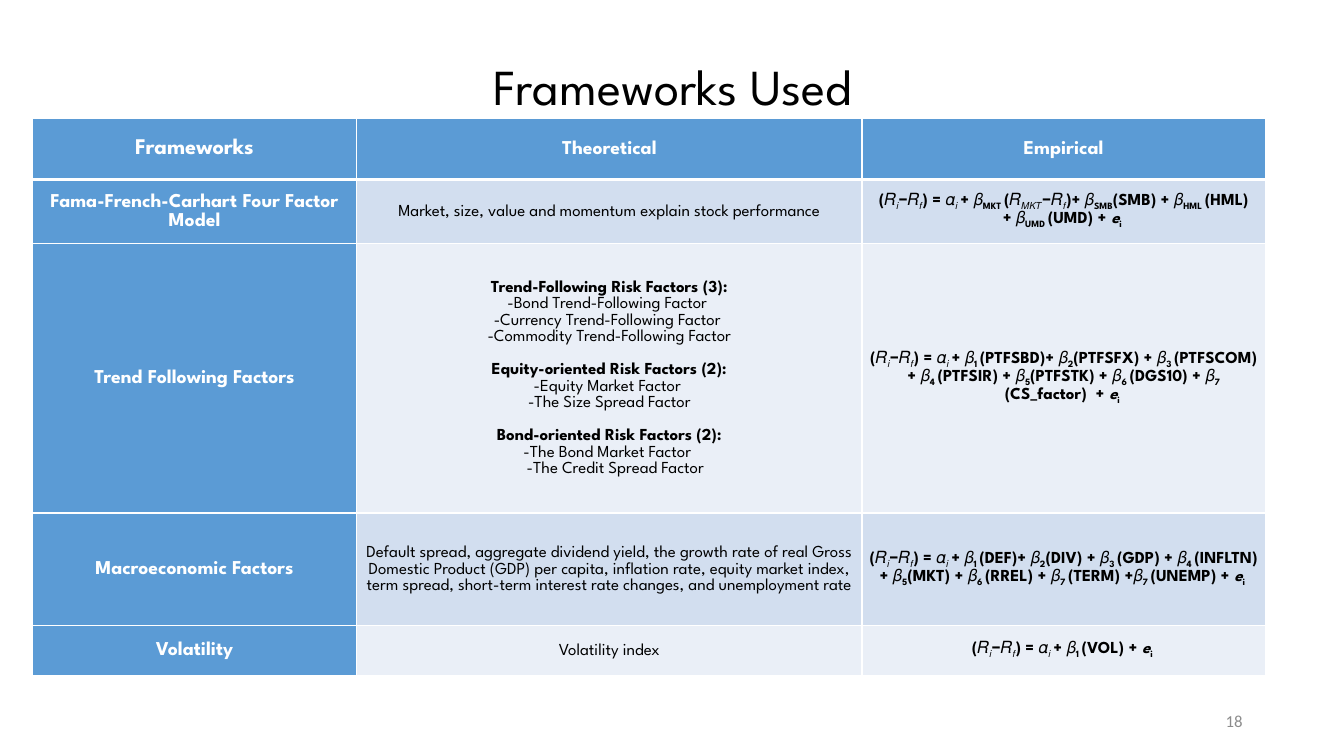
from lxml import etree
from pptx import Presentation
from pptx import util as u
from pptx.dml.color import RGBColor
from pptx.enum import text
from pptx.oxml.ns import qn

W, H = 13.33, 7.5
COLORS = {"white": "FFFFFF", "black": "000000", "blue": "5B9BD5",
          "band_dark": "D2DEEF", "band_light": "EAEFF7", "grey": "8C8C8C"}
FONT = "League Spartan"
COLS = [3.22, 5.01, 4]
ROWS = [0.61, 0.64, 2.67, 1.12, 0.49]
PAD = 0.07

HEADERS = ["Frameworks", "Theoretical", "Empirical"]
MODELS = ["Fama-French-Carhart Four Factor Model", "Trend Following Factors",
          "Macroeconomic Factors", "Volatility"]
THEORIES = [
    ["Market, size, value and momentum explain stock performance"],
    ["Trend-Following Risk Factors (3):", "-Bond Trend-Following Factor ",
     "-Currency Trend-Following Factor ", "-Commodity Trend-Following Factor",
     "Equity-oriented Risk Factors (2):", "-Equity Market Factor ",
     "-The Size Spread Factor",
     "Bond-oriented Risk Factors (2):", "-The Bond Market Factor ",
     "-The Credit Spread Factor "],
    ["Default spread, aggregate dividend yield, the growth rate of real Gross "
     "Domestic Product (GDP) per capita, inflation rate, equity market index, "
     "term spread, short-term interest rate changes, and unemployment rate"],
    ["Volatility index"],
]
# Bars switch between baseline and subscript
EXCESS_RETURN = "(𝑅|𝑖|−𝑅|𝑓|) = 𝛼|𝑖 |+ 𝛽|"
FACTORS = [
    "MKT |(𝑅|𝑀𝐾𝑇|−𝑅|𝑓|)+ 𝛽|SMB|(SMB) + 𝛽|HML |(HML) + 𝛽|UMD |(UMD) + ",
    "1 |(PTFSBD)+ 𝛽|2|(PTFSFX) + 𝛽|3 |(PTFSCOM) + 𝛽|4 |(PTFSIR) + 𝛽|5|"
    "(PTFSTK) + 𝛽|6 |(DGS10) + 𝛽|7 |(CS_factor)  + ",
    "1 |(DEF)+ 𝛽|2|(DIV) + 𝛽|3 |(GDP) + 𝛽|4 |(INFLTN) + 𝛽|5|(MKT) + 𝛽|6 |"
    "(RREL) + 𝛽|7 |(TERM) +𝛽|7 |(UNEMP) + ",
    "1 |(VOL) + ",
]


def rgb(name):
    return RGBColor.from_string(COLORS[name])


def add_run(p, words, size=12, color="black", bold=False, italic=False, sub=False, font=FONT):
    r = p.add_run()
    r.text = words
    r.font.name, r.font.size = font, u.Pt(size)
    r.font.bold, r.font.italic = bold, italic
    r.font.color.rgb = rgb(color)
    if sub:
        r.font._element.set("baseline", "-25000")


def add_paragraph(tf, spacing=1.07, align=text.PP_ALIGN.CENTER):
    first = tf.paragraphs[0]
    p = tf.add_paragraph() if first.runs else first
    p.alignment, p.line_spacing = align, spacing
    return p


def add_label(slide, words, box, align, spacing=1.0, **fmt):
    x, y, w, h = box
    sp = slide.shapes.add_textbox(u.Inches(x * W), u.Inches(y * H),
                                  u.Inches(w * W), u.Inches(h * H))
    tf = sp.text_frame
    tf.word_wrap = True
    tf.vertical_anchor = text.MSO_ANCHOR.MIDDLE
    add_run(add_paragraph(tf, spacing, align), words, **fmt)


def style_cell(cell, fill, bottom=1):
    cell.margin_left = cell.margin_right = u.Inches(PAD)
    cell.margin_top = cell.margin_bottom = 0
    cell.vertical_anchor = text.MSO_ANCHOR.MIDDLE
    cell.fill.solid()
    cell.fill.fore_color.rgb = rgb(fill)
    # Cell borders come before the fill
    tc_pr = cell._tc.get_or_add_tcPr()
    for i, side in enumerate(["lnL", "lnR", "lnT", "lnB"]):
        ln = etree.Element(qn("a:" + side), w=str(u.Pt(bottom if side == "lnB" else 1)))
        solid = etree.SubElement(ln, qn("a:solidFill"))
        etree.SubElement(solid, qn("a:srgbClr"), val=COLORS["white"])
        tc_pr.insert(i, ln)


def write_heading(cell, words, size=14):
    add_run(add_paragraph(cell.text_frame), words, size=size, color="white", bold=True)


def write_theory(cell, lines):
    for i, line in enumerate(lines):
        p = add_paragraph(cell.text_frame)
        is_group = line.endswith(":")
        if is_group and i:
            p.space_before = u.Pt(11.8)
        if line.startswith("-The Credit"):
            p._p.get_or_add_pPr().set("marL", str(u.Inches(0.16)))
        add_run(p, line, bold=is_group)


def write_formula(cell, factors):
    p = add_paragraph(cell.text_frame, 1.0)
    for i, part in enumerate((EXCESS_RETURN + factors).split("|")):
        add_run(p, part, bold=True, sub=i % 2 == 1)
    add_run(p, "e", bold=True, italic=True)
    add_run(p, "i ", bold=True, sub=True)


def add_frameworks_table(slide):
    table = slide.shapes.add_table(len(ROWS), len(COLS), u.Inches(0.32), u.Inches(1.17),
                                   u.Inches(sum(COLS)), u.Inches(sum(ROWS))).table
    for col, width in zip(table.columns, COLS):
        col.width = u.Inches(width)
    for row, height in zip(table.rows, ROWS):
        row.height = u.Inches(height)

    # Header row
    for c, words in enumerate(HEADERS):
        style_cell(table.cell(0, c), "blue", bottom=3)
        write_heading(table.cell(0, c), words, size=14 if c else 16)

    # One row per framework
    for r, (model, theory, factors) in enumerate(zip(MODELS, THEORIES, FACTORS), 1):
        band = "band_dark" if r % 2 else "band_light"
        cells = [table.cell(r, c) for c in range(len(COLS))]
        for cell, fill in zip(cells, ["blue", band, band]):
            style_cell(cell, fill)
        write_heading(cells[0], model)
        write_theory(cells[1], theory)
        write_formula(cells[2], factors)


def main():
    prs = Presentation()
    prs.slide_width, prs.slide_height = u.Inches(W), u.Inches(H)
    slide = prs.slides.add_slide(prs.slide_layouts[6])
    # Title, table and page number
    add_label(slide, "Frameworks Used", (0.069, 0.021, 0.863, 0.193),
              text.PP_ALIGN.CENTER, spacing=0.9, size=36)
    add_frameworks_table(slide)
    add_label(slide, "18", (0.707, 0.927, 0.225, 0.053), text.PP_ALIGN.RIGHT,
              color="grey", font="Calibri")
    prs.save("out.pptx")


if __name__ == "__main__":
    main()
